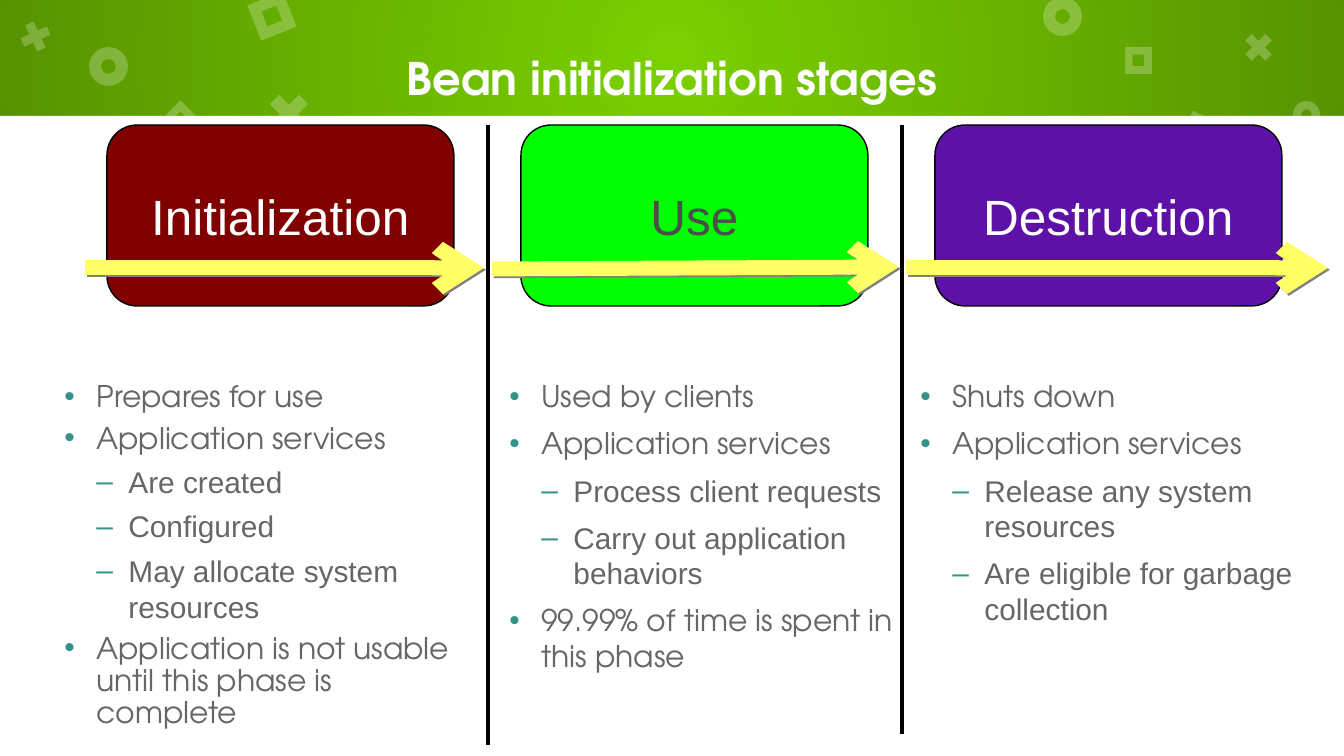
from lxml import etree
from pptx import Presentation, util as u
from pptx.dml.color import RGBColor
from pptx.enum import shapes as sh, text as tx
from pptx.oxml import parse_xml
from pptx.oxml.ns import nsdecls, qn

PX = 914400 / 134.4
SERIF = "TeX Gyre Adventor"
SANS = "Arial"

WHITE = RGBColor(0xFF, 0xFF, 0xFF)
BLACK = RGBColor(0, 0, 0)
LIME = RGBColor(0x7B, 0xD1, 0x00)
RED = RGBColor(0x80, 0, 0)
GREEN = RGBColor(0, 0xFF, 0)
PURPLE = RGBColor(0x5E, 0x11, 0xA6)
DARK = RGBColor(0x4D, 0x4D, 0x4D)
GREY = RGBColor(0x66, 0x66, 0x66)
TEAL = RGBColor(0x33, 0x92, 0x8A)
YELLOW = RGBColor(0xFF, 0xFF, 0x66)

KINDS = sh.MSO_SHAPE
RING = (KINDS.DONUT, 0.31)
CROSS = (KINDS.MATH_MULTIPLY, 0.235)
FRAME = (KINDS.FRAME, 0.289)

# Header marks: kind, left, top, size, turn
MARKS = [
    (RING, 89, 47, 39, 0), (CROSS, 261, 86, 56, 0),
    (FRAME, 253, -3, 38, 338.4), (RING, 1043, -3, 39, 0),
    (FRAME, 1183, 117, 38, 25), (CROSS, 16, 17, 39, 20.4),
    (FRAME, 167, 106, 27, 45), (RING, 1293, 101, 27, 0),
    (CROSS, 1239, 28, 39, 0), (FRAME, 1125, 47, 27, 0),
]

CARDS = [("Initialization", RED, WHITE), ("Use", GREEN, DARK),
         ("Destruction", PURPLE, WHITE)]
ARROWS = [(85, 268, 484, 268), (492, 269, 899, 267), (906, 268, 1328, 268)]
RULES = [(488, 125, 488, 745), (902, 125, 902, 734)]

# Lists: placeholder, left, height, tight spacing, (level, text) items
LISTS = [
    (1, 51, 331, True, [
        (0, "Prepares for use"), (0, "Application services"),
        (1, "Are created"), (1, "Configured"),
        (1, "May allocate system resources"),
        (0, "Application is not usable until this phase is complete")]),
    (2, 496, 309, False, [
        (0, "Used by clients"), (0, "Application services"),
        (1, "Process client requests"),
        (1, "Carry out application behaviors"),
        (0, "99.99% of time is spent in this phase")]),
    (4, 907, 261, False, [
        (0, "Shuts down"), (0, "Application services"),
        (1, "Release any system resources"),
        (1, "Are eligible for garbage collection")]),
]


def px(n):
    return u.Emu(round(n * PX))


def place(shape, x, y, w, h):
    shape.left, shape.top, shape.width, shape.height = map(px, (x, y, w, h))


def write(para, text, size=16, font=SERIF, color=GREY, bold=False,
          align=tx.PP_ALIGN.LEFT):
    para.alignment = align
    run = para.add_run()
    run.text = text
    run.font.size = u.Pt(size)
    run.font.name = font
    run.font.bold = bold
    run.font.color.rgb = color


def add_box(slide, kind, x, y, w, h, fill, line=None):
    box = slide.shapes.add_shape(kind, *map(px, (x, y, w, h)))
    box.shadow.inherit = False
    box.fill.solid()
    box.fill.fore_color.rgb = fill
    if line is None:
        box.line.fill.background()
    else:
        box.line.color.rgb = line
        box.line.width = u.Pt(0.75)
    return box


def add_mark(slide, kind, x, y, size, turn):
    shape, adj = kind
    mark = add_box(slide, shape, x, y, size, size, WHITE)
    mark.adjustments[0] = adj
    mark.rotation = turn
    color = mark.fill._xPr.find(".//" + qn("a:srgbClr"))
    etree.SubElement(color, qn("a:alpha"), val="24000")


def add_band(slide):
    band = add_box(slide, KINDS.RECTANGLE, 0, 0, 1344, 116, LIME)
    solid = band.fill._xPr.find(qn("a:solidFill"))
    stops = "".join(
        f'<a:gs pos="{pos}"><a:srgbClr val="000000">'
        f'<a:alpha val="{alpha}"/></a:srgbClr></a:gs>'
        for pos, alpha in ((0, 0), (100000, 30000)))
    solid.getparent().replace(solid, parse_xml(
        f'<a:gradFill {nsdecls("a")}><a:gsLst>{stops}</a:gsLst>'
        '<a:path path="circle"><a:fillToRect l="50000" t="50000" '
        'r="50000" b="50000"/></a:path></a:gradFill>'))


def add_line(slide, ends, color, width, arrow=False):
    line = slide.shapes.add_connector(sh.MSO_CONNECTOR.STRAIGHT,
                                      *map(px, ends))
    line.line.color.rgb = color
    line.line.width = u.Pt(width)
    props = line._element.spPr
    effect = etree.SubElement(props, qn("a:effectLst"))
    if arrow:
        etree.SubElement(props.find(qn("a:ln")), qn("a:tailEnd"),
                         type="arrow")
        shade = etree.SubElement(effect, qn("a:outerShdw"), blurRad="0",
                                 dist=str(u.Pt(1.4)), dir="2700000")
        etree.SubElement(shade, qn("a:srgbClr"), val="808080")


def add_card(slide, x, label, fill, color):
    card = add_box(slide, KINDS.ROUNDED_RECTANGLE, x, 125, 347, 181,
                   fill, BLACK)
    frame = card.text_frame
    frame.word_wrap = False
    frame.vertical_anchor = tx.MSO_ANCHOR.MIDDLE
    write(frame.paragraphs[0], label, size=26.5, font=SANS, color=color,
          align=tx.PP_ALIGN.CENTER)


def add_bullet(para, level):
    props = para._p.get_or_add_pPr()
    props.set("marL", str(px(32 * (level + 1))))
    props.set("indent", str(px(-32)))
    color = etree.SubElement(props, qn("a:buClr"))
    etree.SubElement(color, qn("a:srgbClr"), val=str(TEAL))
    etree.SubElement(props, qn("a:buFont"), typeface=SANS)
    etree.SubElement(props, qn("a:buChar"), char="•–"[level])


def fill_list(body, x, height, tight, items):
    place(body, x, 375, 437, height)
    frame = body.text_frame
    frame.word_wrap = True
    frame.auto_size = tx.MSO_AUTO_SIZE.SHAPE_TO_FIT_TEXT
    frame.vertical_anchor = tx.MSO_ANCHOR.TOP
    for i, (level, text) in enumerate(items):
        para = frame.add_paragraph() if i else frame.paragraphs[0]
        para.level = level
        dense = i == 0 or (tight and level == 0)
        para.line_spacing = 0.9 if dense else 1.0
        para.space_before = u.Pt(5 if dense else 4.5 if tight else 6)
        add_bullet(para, level)
        write(para, text, font=SANS if level else SERIF)


def fill_title(title, text):
    place(title, 128, 0, 1088, 156)
    frame = title.text_frame
    frame.margin_left = frame.margin_right = u.Inches(0.1)
    frame.margin_top = frame.margin_bottom = u.Inches(0.1)
    frame.auto_size = tx.MSO_AUTO_SIZE.NONE
    frame.vertical_anchor = tx.MSO_ANCHOR.MIDDLE
    write(frame.paragraphs[0], text, size=24, color=WHITE, bold=True,
          align=tx.PP_ALIGN.CENTER)


def main():
    deck = Presentation()
    deck.slide_width, deck.slide_height = px(1344), px(756)
    slide = deck.slides.add_slide(deck.slide_layouts[4])
    slots = {s.placeholder_format.idx: s for s in slide.placeholders}

    # Background and header
    slide.background.fill.solid()
    slide.background.fill.fore_color.rgb = LIME
    add_band(slide)
    add_box(slide, KINDS.RECTANGLE, 0, 116, 1344, 640, WHITE)
    for mark in MARKS:
        add_mark(slide, *mark)

    # Title and lists, brought in front of the header
    for idx, slot in slots.items():
        tree = slot._element.getparent()
        tree.remove(slot._element)
        if idx != 3:
            tree.append(slot._element)
    fill_title(slots[0], "Bean initialization stages")
    for idx, *parts in LISTS:
        fill_list(slots[idx], *parts)

    # Stage cards, dividers and arrows
    for i, card in enumerate(CARDS):
        add_card(slide, 107 + 414 * i, *card)
    for ends in RULES:
        add_line(slide, ends, BLACK, 2)
    for ends in ARROWS:
        add_line(slide, ends, YELLOW, 8, arrow=True)

    deck.save("out.pptx")


if __name__ == "__main__":
    main()
